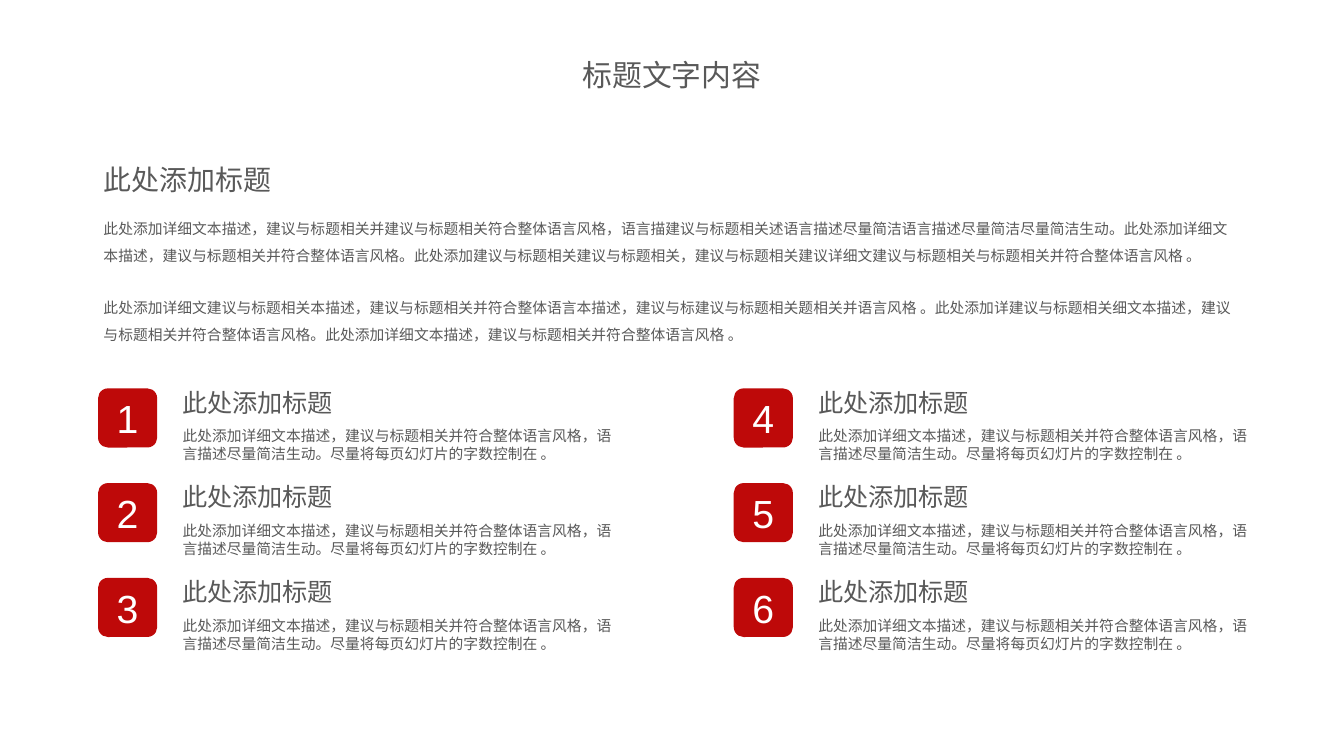
import pptx
import pptx.dml.color
import pptx.enum.shapes
import pptx.enum.text
import pptx.util
from lxml import etree

COLORS = {"text": "595959", "badge": "BE0909", "number": "FFFFFF"}
CJK, LATIN = "Noto Sans CJK SC", "Arial"
ALIGN = pptx.enum.text.PP_ALIGN
ANCHOR = pptx.enum.text.MSO_ANCHOR
FIT = pptx.enum.text.MSO_AUTO_SIZE

# Slide and item grid, in inches
WIDTH = 10
HEIGHT = WIDTH * 9 / 16
COLUMN_LEFT, COLUMN_PITCH = 0.73, 4.73
ROW_TOP, ROW_PITCH = 2.89, 1.41 / 2
ROWS, COLUMNS = 3, 2
BADGE = 0.44

HEADING = "此处添加标题"
ITEM_TEXT = "此处添加详细文本描述，建议与标题相关并符合整体语言风格，语言描述尽量简洁生动。尽量将每页幻灯片的字数控制在 。"
INTRO = [
    "此处添加详细文本描述，建议与标题相关并建议与标题相关符合整体语言风格，语言描建议与标题相关述语言描述尽量简洁语言描述尽量简洁尽量简洁生动。"
    "此处添加详细文本描述，建议与标题相关并符合整体语言风格。此处添加建议与标题相关建议与标题相关，"
    "建议与标题相关建议详细文建议与标题相关与标题相关并符合整体语言风格 。",
    "此处添加详细文建议与标题相关本描述，建议与标题相关并符合整体语言本描述，建议与标建议与标题相关题相关并语言风格 。"
    "此处添加详建议与标题相关细文本描述，建议与标题相关并符合整体语言风格。此处添加详细文本描述，建议与标题相关并符合整体语言风格 。",
]


def inches(*values):
    return [pptx.util.Inches(v) for v in values]


def rgb(name):
    return pptx.dml.color.RGBColor.from_string(COLORS[name])


def add_run(p, text, size, font=CJK, color="text"):
    """Add a run whose Latin and East Asian fonts are both set."""
    r = p.add_run()
    r.text = text
    r.font.size = pptx.util.Pt(size)
    r.font.color.rgb = rgb(color)
    r.font.name = font
    ea = etree.SubElement(r.font._element, pptx.oxml.ns.qn("a:ea"))
    ea.set("typeface", font)


def place(sp, left, top, width, height):
    sp.left, sp.top, sp.width, sp.height = inches(left, top, width, height)


def set_frame(tf, wrap=True):
    tf.word_wrap = wrap
    tf.auto_size = FIT.SHAPE_TO_FIT_TEXT
    tf.vertical_anchor = ANCHOR.TOP


def fill_title(s, text):
    sp = s.shapes.title
    place(sp, 3.58, 0.37, 2.84, 0.37)
    set_frame(sp.text_frame)
    p = sp.text_frame.paragraphs[0]
    p.alignment = ALIGN.CENTER
    add_run(p, text, 16)


def fill_intro(s, paragraphs):
    sp = s.placeholders[1]
    place(sp, 0.67, 1.52, 8.62, 1.1)
    tf = sp.text_frame
    set_frame(tf)
    for i, text in enumerate(paragraphs):
        p = tf.add_paragraph() if i else tf.paragraphs[0]
        p.line_spacing = 1.5
        p.space_before = pptx.util.Pt(14 if i else 0)
        pPr = p._p.get_or_add_pPr()
        pPr.set("marL", "0")
        pPr.set("indent", "0")
        etree.SubElement(pPr, pptx.oxml.ns.qn("a:buNone"))
        add_run(p, text, 7.9)


def add_text(s, box, text, size, wrap=True):
    tf = s.shapes.add_textbox(*inches(*box)).text_frame
    set_frame(tf, wrap)
    add_run(tf.paragraphs[0], text, size)


def add_badge(s, left, top, number):
    sp = s.shapes.add_shape(pptx.enum.shapes.MSO_SHAPE.ROUNDED_RECTANGLE,
                            *inches(left, top, BADGE, BADGE))
    sp.shadow.inherit = False
    sp.fill.solid()
    sp.fill.fore_color.rgb = rgb("badge")
    sp.line.fill.background()
    tf = sp.text_frame
    tf.vertical_anchor = ANCHOR.MIDDLE
    p = tf.paragraphs[0]
    p.alignment = ALIGN.CENTER
    add_run(p, str(number), 21, LATIN, "number")


def add_item(s, index):
    """Add a numbered badge with its heading and text; items run down each column."""
    column, row = divmod(index, ROWS)
    left = COLUMN_LEFT + column * COLUMN_PITCH
    top = ROW_TOP + row * ROW_PITCH
    add_badge(s, left, top, index + 1)
    add_text(s, (left + 0.53, top - 0.06, 1.34, 0.33), HEADING, 13.5, wrap=False)
    add_text(s, (left + 0.53, top + 0.24, 3.42, 0.37), ITEM_TEXT, 7.9)


def main():
    prs = pptx.Presentation()
    prs.slide_width, prs.slide_height = inches(WIDTH, HEIGHT)
    s = prs.slides.add_slide(prs.slide_layouts[1])
    fill_title(s, "标题文字内容")
    add_text(s, (0.67, 1.16, 2.23, 0.35), HEADING, 15)
    fill_intro(s, INTRO)
    for index in range(ROWS * COLUMNS):
        add_item(s, index)
    prs.save("out.pptx")


if __name__ == "__main__":
    main()
